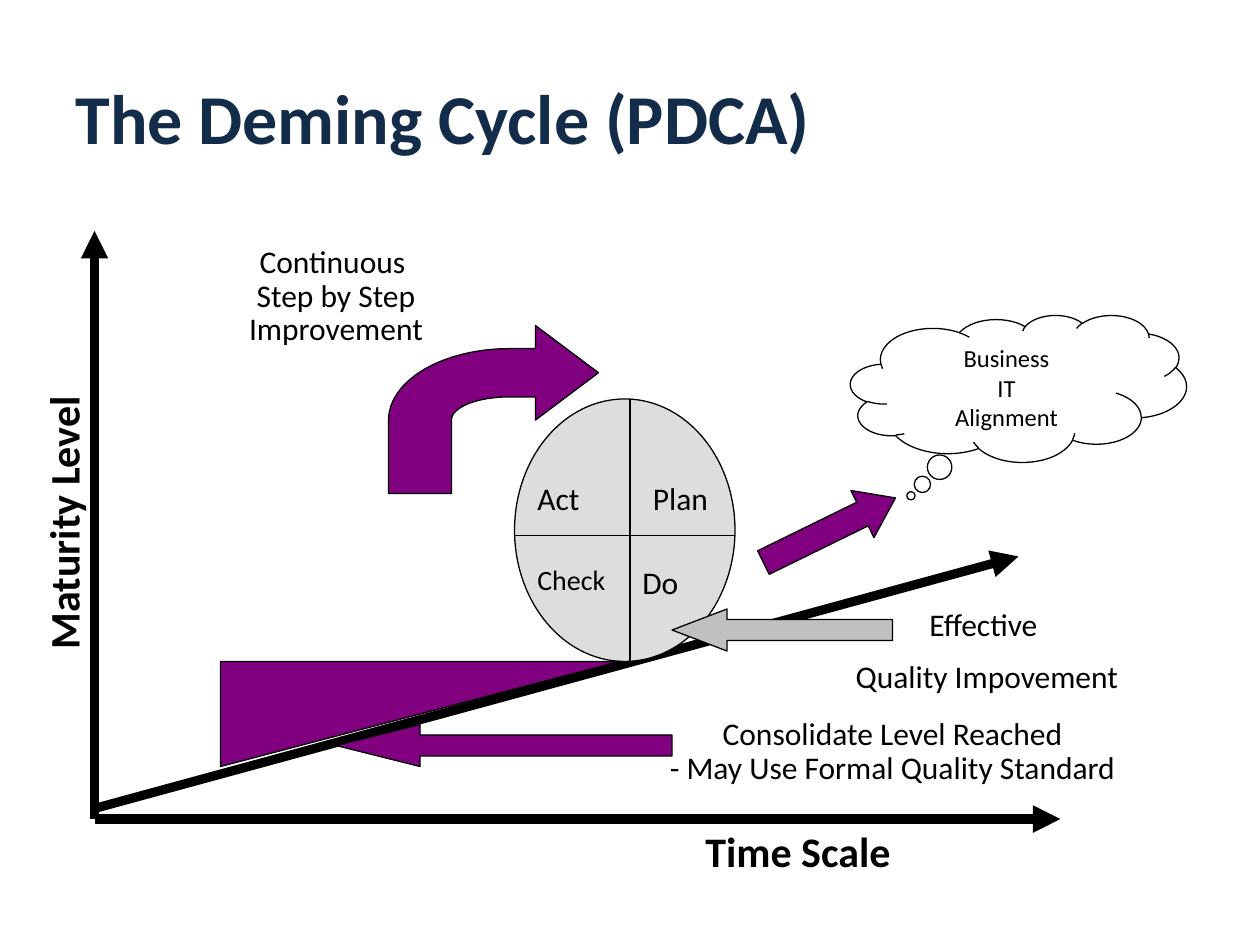
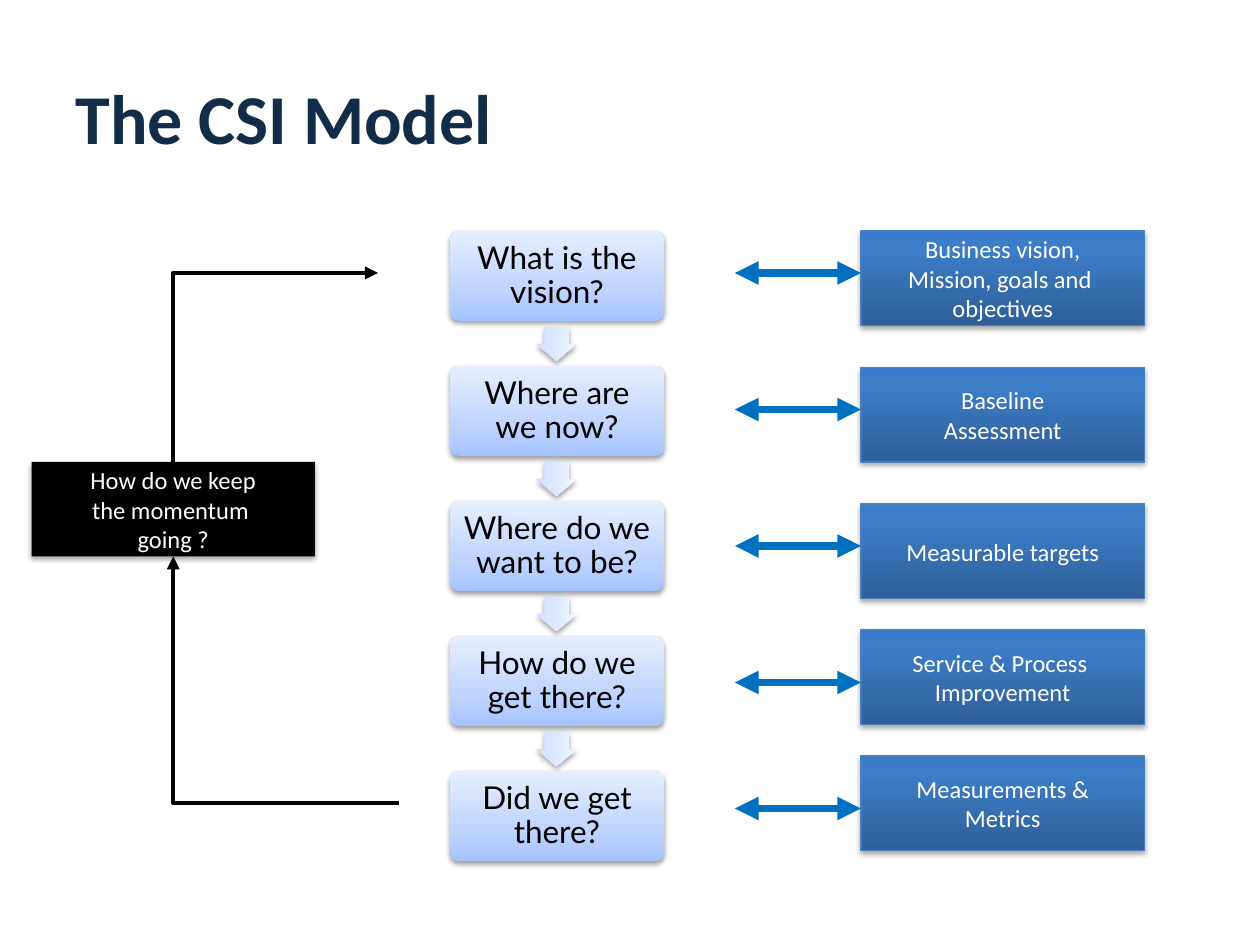
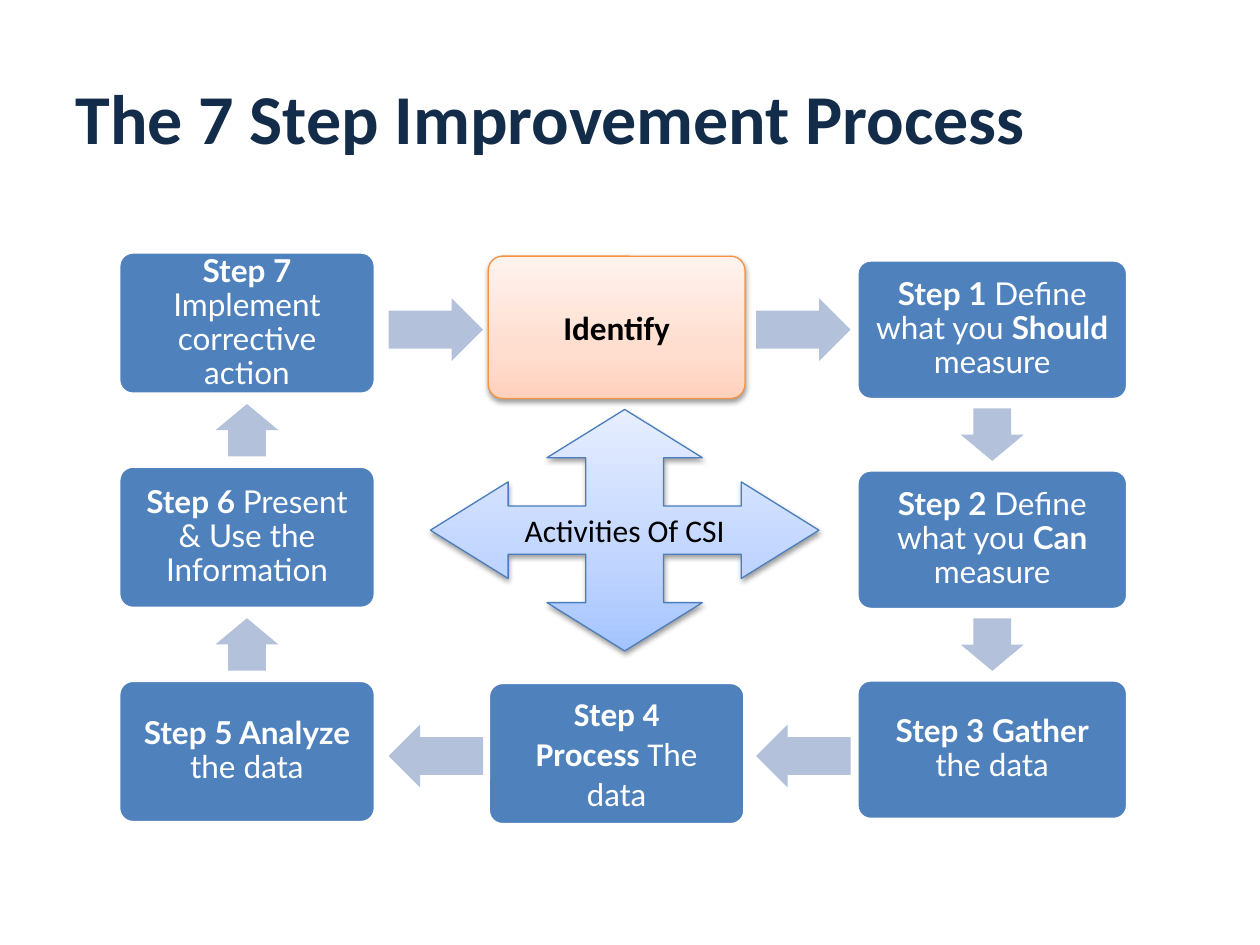
import copy
import math
from collections import namedtuple

from lxml import etree
from pptx import Presentation
from pptx import util as u
from pptx.dml import color
from pptx.enum import shapes, text
from pptx.oxml import ns

COLUMNS, ROWS = 120, 90
CELL = u.Inches(10) // COLUMNS
COLORS = {
    "title": "132C4A", "black": "000000", "white": "FFFFFF", "purple": "800080",
    "wheel": "DDDDDD", "silver": "C0C0C0", "link": "0070C0", "step": "4F81BD",
    "step arrow": "B3C1DB", "blue edge": "4B7EBC", "orange edge": "F69240",
}
GRADIENTS = {
    "pale blue": ((0, "A4C4FF"), (0.35, "BFD4FF"), (1, "E6EEFF")),
    "faint blue": ((0, "CDDDFE"), (0.35, "DBE6FE"), (1, "F0F5FF")),
    "deep blue": ((0, "2F5F99"), (0.8, "3D7CC7"), (1, "3A7CCB")),
    "peach": ((0, "FFD2BD"), (0.35, "FFDED0"), (1, "FFF2ED")),
}
KIND = shapes.MSO_SHAPE
LEFT, CENTER = text.PP_ALIGN.LEFT, text.PP_ALIGN.CENTER
TOP, MIDDLE = text.MSO_ANCHOR.TOP, text.MSO_ANCHOR.MIDDLE


class Box(namedtuple("Box", "left top width height")):
    """A rectangle measured in grid cells."""

    def at(self, column, row, width, height):
        """Return a box placed relative to this one."""
        return Box(self.left + column, self.top + row, width, height)

    def emu(self):
        """Return the four lengths in slide units."""
        return [emu(value) for value in self]


def emu(cells):
    """Turn grid cells into slide units."""
    return u.Emu(round(cells * CELL))


def rgb(name):
    """Look up a named colour."""
    return color.RGBColor.from_string(COLORS[name])


def write(frame, paras, size, ink="black", font="Calibri", align=CENTER, anchor=TOP,
          wrap=True, inset=None, spacing=None, before=None):
    """Fill a text frame; words between asterisks are bold."""
    frame.word_wrap = wrap
    frame.vertical_anchor = anchor
    if inset:
        frame.margin_left = frame.margin_right = u.Inches(inset)
        frame.margin_top = frame.margin_bottom = u.Inches(inset)
    for index, line in enumerate(paras):
        para = frame.paragraphs[0] if index == 0 else frame.add_paragraph()
        para.alignment = align
        if spacing:
            para.line_spacing = spacing
        if before:
            para.space_before = u.Pt(before)
        for order, part in enumerate(line.split("*")):
            if part:
                span = para.add_run()
                span.text = part
                span.font.name, span.font.size = font, u.Pt(size)
                span.font.bold = order % 2 == 1
                span.font.color.rgb = rgb(ink)


def label(page, box, paras, size=18, turn=0, **style):
    """Add a free-standing text box."""
    item = page.shapes.add_textbox(*box.emu())
    item.rotation = turn
    write(item.text_frame, paras, size, before=8.5, **style)


def paint(shape, fill=None, edge=None, weight=0.75, shadow=0):
    """Set the fill, outline and shadow of a shape."""
    if fill in GRADIENTS:
        shape.fill.gradient()
        shape.fill.gradient_angle = 90
        stops = shape.element.xpath(".//a:gsLst")[0]
        stops.append(copy.deepcopy(stops[0]))
        for stop, (position, value) in zip(shape.fill.gradient_stops, GRADIENTS[fill]):
            stop.position = position
            stop.color.rgb = color.RGBColor.from_string(value)
    elif fill:
        shape.fill.solid()
        shape.fill.fore_color.rgb = rgb(fill)
    else:
        shape.fill.background()
    if edge:
        shape.line.color.rgb = rgb(edge)
        shape.line.width = u.Pt(weight)
    else:
        shape.line.fill.background()
    shape.shadow.inherit = False
    if shadow:
        effects = shape.element.xpath("./p:spPr/a:effectLst")[0]
        outer = etree.SubElement(effects, ns.qn("a:outerShdw"), blurRad="40000",
                                 dist="20000", dir="5400000", rotWithShape="0")
        tone = etree.SubElement(outer, ns.qn("a:srgbClr"), val=COLORS["black"])
        etree.SubElement(tone, ns.qn("a:alpha"), val=str(shadow * 1000))
    return shape


def draw(page, kind, box, adjust=(), turn=0, **look):
    """Add a painted preset shape."""
    shape = page.shapes.add_shape(kind, *box.emu())
    for index, value in enumerate(adjust):
        shape.adjustments[index] = value
    shape.rotation = turn
    return paint(shape, **look)


def outline(page, box, points, **look):
    """Add a painted closed outline from points relative to a box."""
    spots = [(emu(box.left + x), emu(box.top + y)) for x, y in points]
    builder = page.shapes.build_freeform(*spots[0])
    builder.add_line_segments(spots[1:], close=True)
    return paint(builder.convert_to_shape(), **look)


def connect(page, box, start, end, ink="black", weight=0.75, heads=(), elbow=False):
    """Add a line between two points relative to a box."""
    kind = shapes.MSO_CONNECTOR.ELBOW if elbow else shapes.MSO_CONNECTOR.STRAIGHT
    ends = [emu(origin + value) for point in (start, end)
            for origin, value in zip(box, point)]
    link = page.shapes.add_connector(kind, *ends)
    link.line.color.rgb = rgb(ink)
    link.line.width = u.Pt(weight)
    if elbow:
        link.element.xpath(".//a:prstGeom")[0].set("prst", "bentConnector2")
    line = link.element.xpath(".//a:ln")[0]
    for head in heads:
        etree.SubElement(line, ns.qn(f"a:{head}End"), type="triangle")
    etree.SubElement(link.element.spPr, ns.qn("a:effectLst"))
    return link


def new_page(deck, title):
    """Add a slide with the shared title style."""
    page = deck.slides.add_slide(deck.slide_layouts[5])
    holder = page.shapes.title
    holder.left, holder.top, holder.width, holder.height = Box(6, 3.6, 108, 15).emu()
    write(holder.text_frame, [f"*{title}*"], 40, "title", align=LEFT, anchor=MIDDLE)
    return page


def arc(center, radii, start, end, steps=16):
    """Return points on an ellipse between two angles in degrees."""
    angles = [math.radians(start + (end - start) * step / steps) for step in range(steps + 1)]
    return [(center[0] + radii[0] * math.cos(angle), center[1] - radii[1] * math.sin(angle))
            for angle in angles]


def maturity_axes(page, box):
    """Draw both axes and the rising trend."""
    corner = (0, box.height)
    for start, end in ((corner, (0, 0)), (corner, (box.width, box.height)),
                       ((0, 55), (88, 31))):
        connect(page, box, start, end, weight=5.25, heads=["tail"])


def deming_wheel(page, box):
    """Draw the wheel with its four quarters."""
    draw(page, KIND.OVAL, box, fill="wheel", edge="black")
    connect(page, box, (11, 0), (11, box.height))
    connect(page, box, (box.width, 13), (0, 13))
    for name, column, row, width, size in (("Act", 1, 7, 7, 18), ("Plan", 12, 7, 11, 18),
                                           ("Check", 1, 15, 14, 16), ("Do", 11, 15, 7, 18)):
        label(page, box.at(column, row, width, 4.8), [name], size, align=LEFT)


def bent_arrow(page, box):
    """Draw the arrow that curves towards the wheel."""
    center = (11.5, 9)
    points = [(20, 4.5), (14, 0), (14, 2.2), *arc(center, (11.5, 6.8), 90, 180),
              (0, 16), (6, 16), *arc(center, (5.5, 2.2), 180, 90), (14, 6.8), (14, 9)]
    outline(page, box, points, fill="purple", edge="black")


def maturity_chart(page, box):
    """Draw the maturity chart with its arrows and captions."""
    maturity_axes(page, box)
    deming_wheel(page, box.at(40, 16, 21, 25))
    bent_arrow(page, box.at(28, 9, 20, 16))
    for kind, place, adjust, turn, fill in (
            (KIND.LEFT_ARROW, (23, 47, 32, 4), (0.5, 2), 0, "purple"),
            (KIND.LEFT_ARROW, (55, 36, 21, 4), (0.5, 1.31), 0, "silver"),
            (KIND.RIGHT_TRIANGLE, (26, 27, 10, 38), (), 90, "purple"),
            (KIND.RIGHT_ARROW, (63, 26, 14, 5), (0.5, 0.7), 333.9, "purple")):
        draw(page, kind, box.at(*place), adjust, turn, fill=fill, edge="black")
    cloud = draw(page, KIND.CLOUD_CALLOUT, box.at(72, 8, 32, 14), (-0.32, 0.73), edge="black")
    write(cloud.text_frame, ["Business", "IT", "Alignment"], 14)
    label(page, box.at(66, 35, 38, 10.2), ["Effective ", "Quality Impovement"])
    label(page, box.at(-3, 2, 52, 10.3), ["Continuous ", "Step by Step", "Improvement"],
          spacing=0.5)
    label(page, box.at(50, 47, 52, 6.6),
          ["Consolidate Level Reached", "- May Use Formal Quality Standard"], spacing=0.5)
    label(page, box.at(57, 56, 25, 6), ["*Time Scale*"], 24, align=LEFT)
    label(page, box.at(-20, 21, 34, 6), ["*Maturity Level*"], 24, turn=270, align=LEFT)


def question_chain(page, box):
    """Stack the five questions with arrows between them."""
    questions = ("What is the vision?", "Where are we now?", "Where do we want to be?",
                 "How do we get there?", "Did we get there?")
    height, pitch = 8.55, 12.87
    for index, question in enumerate(questions):
        top = index * pitch
        if index:
            draw(page, KIND.RIGHT_ARROW, box.at(8.52, top - 4.02, 3.24, 3.84), (0.6, 0.5), 90,
                 fill="faint blue", shadow=38)
        card = draw(page, KIND.ROUNDED_RECTANGLE, box.at(0, top, box.width, height), (0.1,),
                    fill="pale blue", shadow=38)
        write(card.text_frame, [question], 18, font="Lato", anchor=MIDDLE, inset=0.07,
              spacing=0.9)


def evidence_column(page, box):
    """List what answers each question, with double arrows."""
    for top, middle, paras in (
            (0, 4, ["Business vision,", "Mission, goals and ", "objectives"]),
            (13, 17, ["Baseline", "Assessment"]),
            (26, 30, ["Measurable targets"]),
            (38, 43, ["Service & Process ", "Improvement"]),
            (50, 55, ["Measurements &", "Metrics"])):
        card = draw(page, KIND.RECTANGLE, box.at(0, top, box.width, 9), fill="deep blue",
                    edge="blue edge", shadow=35)
        write(card.text_frame, paras, 14, "white", anchor=MIDDLE, wrap=False)
        connect(page, box, (-12, middle), (0, middle), "link", 4.5, ["head", "tail"])


def momentum_loop(page, box):
    """Draw the momentum box and the loop through it."""
    card = draw(page, KIND.RECTANGLE, box, fill="black", shadow=35)
    write(card.text_frame, ["How do we keep", "the momentum ", "going ?"], 14, "white",
          anchor=MIDDLE, wrap=False)
    center = box.width / 2
    inflow = connect(page, box, (35, 32.5), (center, box.height), weight=2.5, heads=["tail"],
                     elbow=True)
    inflow.end_connect(card, 2)
    outflow = connect(page, box, (33, -18), (center, 0), weight=2.5, heads=["head"], elbow=True)
    outflow.end_connect(card, 0)


def step_card(page, box, paras, ink="white", font="Lato", size=18, inset=0.07, spacing=0.9,
              **look):
    """Draw one rounded step card."""
    look = look or {"fill": "step", "edge": "white", "weight": 2}
    card = draw(page, KIND.ROUNDED_RECTANGLE, box, (0.1,), **look)
    write(card.text_frame, paras, size, ink, font, anchor=MIDDLE, inset=inset, spacing=spacing)


def step_arrow(page, box, turn):
    """Draw one arrow between steps."""
    draw(page, KIND.RIGHT_ARROW, box, (0.6, 0.5), turn, fill="step arrow")


def step_column(page, box, height, turn, steps):
    """Stack three steps with arrows in the gaps."""
    pitch = (box.height - height) / (len(steps) - 1)
    for index, step in enumerate(steps):
        top = index * pitch
        step_card(page, box.at(0, top, box.width, height), [step])
        if index:
            gap = (top - pitch + height + top) / 2
            step_arrow(page, box.at(box.width / 2 - 2.5, gap - 3, 5, 6), turn)


def middle_column(page, box):
    """Draw the middle cards with the arrows on both sides."""
    height = 13.55
    plain = {"font": "Calibri", "size": 19, "inset": 0.08, "spacing": None}
    last = box.height - height
    step_card(page, box.at(0, last, box.width, height), ["*Step 4*", "*Process* The data"],
              **plain)
    step_card(page, box.at(0, 0, box.width, height), ["*Identify*"], "black", **plain,
              fill="peach", edge="orange edge", shadow=38)
    for column in (-9.5, 25.5):
        step_arrow(page, box.at(column, 4, 9, 6), 0)
        step_arrow(page, box.at(column, last + 4, 9, 6), 180)


def activity_cross(page, box):
    """Draw the four-way arrow by turning one quarter."""
    quarter = [(0.5, 0), (0.3, 0.2), (0.4, 0.2), (0.4, 0.4), (0.2, 0.4), (0.2, 0.3)]
    shares = []
    for _ in range(4):
        shares += quarter
        quarter = [(y, 1 - x) for x, y in quarter]
    cross = outline(page, box, [(x * box.width, y * box.height) for x, y in shares],
                    fill="pale blue", edge="blue edge", shadow=38)
    write(cross.text_frame, ["Activities Of CSI"], 18, anchor=MIDDLE, wrap=False)


def main():
    """Build and save the deck."""
    deck = Presentation()
    deck.slide_width, deck.slide_height = emu(COLUMNS), emu(ROWS)

    page = new_page(deck, "The Deming Cycle (PDCA)")
    maturity_chart(page, Box(9, 22, 92, 56))

    page = new_page(deck, "The CSI Model")
    question_chain(page, Box(42.85, 22, 20.4, 60))
    momentum_loop(page, Box(3, 44, 27, 9))
    evidence_column(page, Box(82, 22, 27, 59))

    page = new_page(deck, "The 7 Step Improvement Process")
    step_column(page, Box(81.6, 24.75, 25.8, 53.3), 13.3, 90,
                ("*Step 1 *Define what you *Should* measure",
                 "*Step 2 *Define what you *Can* measure", "*Step 3 Gather* the data"))
    step_column(page, Box(11.3, 24, 24.45, 54.35), 13.55, 270,
                ("*Step 7* Implement corrective action",
                 "*Step 6 *Present & Use the Information", "*Step 5 Analyze* the data"))
    middle_column(page, Box(46.5, 24.4, 24.45, 54.15))
    activity_cross(page, Box(41, 39, 37, 23))

    deck.save("out.pptx")


if __name__ == "__main__":
    main()
